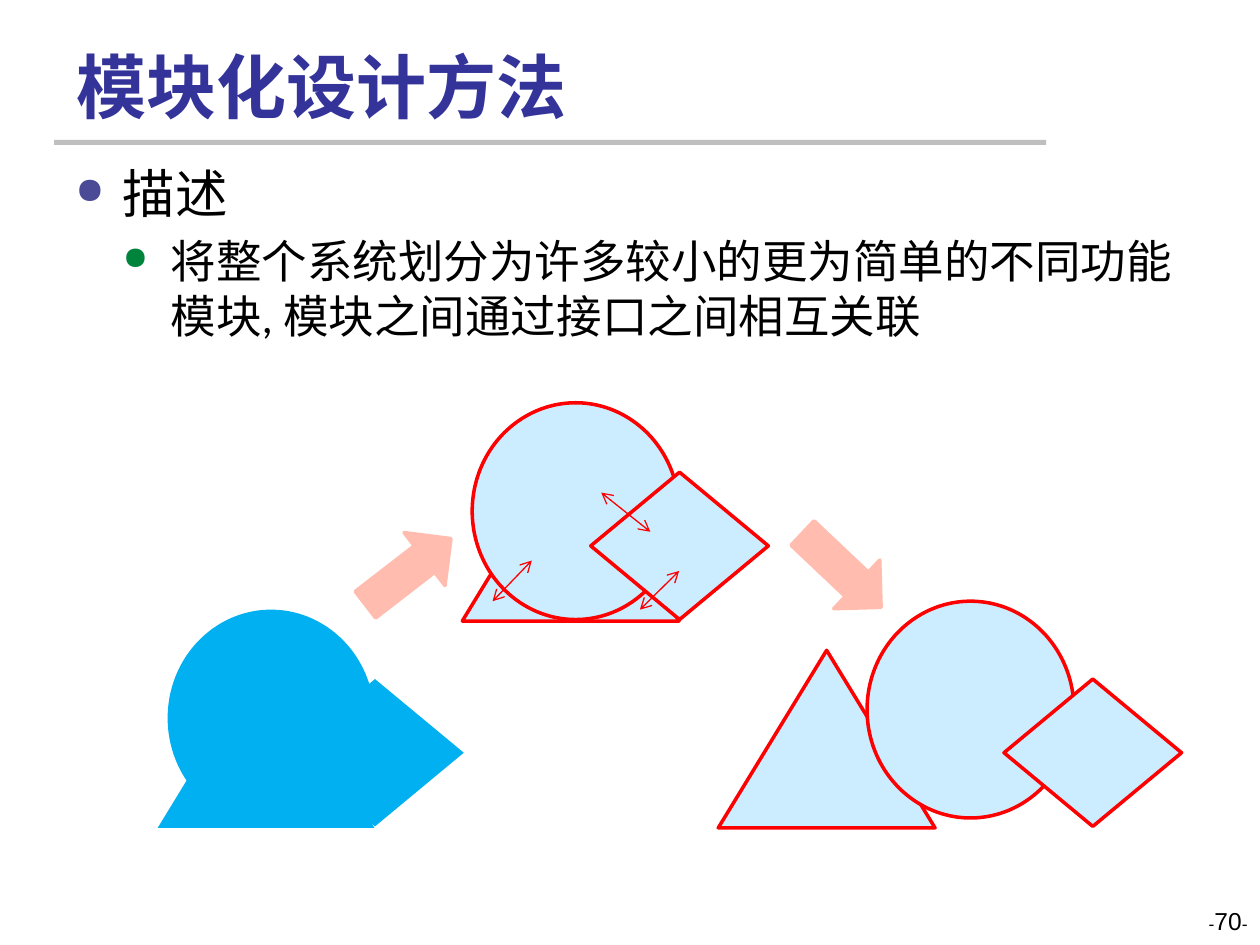
from lxml import etree
from pptx import Presentation
from pptx.dml.color import RGBColor
from pptx.enum import shapes, text
from pptx.oxml import ns
from pptx.util import Cm, Pt

NAVY = RGBColor(0x33, 0x33, 0x99)
BLACK = RGBColor(0, 0, 0)
GREY = RGBColor(0xBF, 0xBF, 0xBF)
BLUE = RGBColor(0x00, 0xB0, 0xF0)
PALE = RGBColor(0xCC, 0xEC, 0xFF)
RED = RGBColor(0xFF, 0, 0)
PINK = RGBColor(0xFF, 0xBC, 0xAF)
CJK = "Noto Sans CJK SC"

TITLE = "模块化设计方法"
BULLETS = [
    ("描述", 30, 0, "4A4A97"),
    ("将整个系统划分为许多较小的更为简单的不同功能模块, 模块之间通过接口之间相互关联", 26, 1, "00843C"),
]
PAGE = [("-", 10), ("70", 14), ("-", 10)]
INDENT = Cm(0.96)

M = shapes.MSO_SHAPE
MODULES = [
    (M.ISOSCELES_TRIANGLE, 4.37, 3.58),
    (M.OVAL, 4.17, 4.37),
    (M.FLOWCHART_DECISION, 3.58, 2.97),
]
JOINED = [(0, 0), (0.2, -0.82), (2.59, 0.58)]
SPLIT = [(0, 0), (3, -0.99), (5.76, 0.58)]
LINKS = [
    (12.12, 9.93, 13.11, 10.72),
    (9.93, 12.12, 10.72, 11.3),
    (12.9, 12.29, 13.69, 11.51),
]
STAGES = [
    (3.18, 13.11, JOINED, BLUE, None, []),
    (9.32, 8.94, JOINED, PALE, RED, LINKS),
    (14.48, 13.11, SPLIT, PALE, RED, []),
]
STEPS = [(7.14, 10.85, 322.3), (15.88, 10.82, 43.4)]


def add_shape(parent, kind, x, y, w, h, fill, line=None):
    sp = parent.add_shape(kind, Cm(x), Cm(y), Cm(w), Cm(h))
    sp.shadow.inherit = False
    sp.fill.solid()
    sp.fill.fore_color.rgb = fill
    if line is None:
        sp.line.fill.background()
    else:
        sp.line.color.rgb = line
        sp.line.width = Pt(2)
    return sp


def add_link(parent, x1, y1, x2, y2):
    cn = parent.add_connector(shapes.MSO_CONNECTOR.STRAIGHT, Cm(x1), Cm(y1), Cm(x2), Cm(y2))
    cn.line.color.rgb = RED
    cn.line.width = Pt(0.75)
    ln = cn.line._get_or_add_ln()
    for end in ("a:headEnd", "a:tailEnd"):
        etree.SubElement(ln, ns.qn(end), type="arrow")
    etree.SubElement(cn._element.spPr, ns.qn("a:effectLst"))


def add_text(x, y, w, h, anchor=text.MSO_ANCHOR.TOP):
    tf = s.shapes.add_textbox(Cm(x), Cm(y), Cm(w), Cm(h)).text_frame
    tf.word_wrap = True
    tf.vertical_anchor = anchor
    return tf


def add_run(p, content, size, font, color=BLACK, bold=False):
    r = p.add_run()
    r.text = content
    r.font.size = Pt(size)
    r.font.name = font
    r.font.bold = bold
    r.font.color.rgb = color
    etree.SubElement(r.font._element, ns.qn("a:ea"), typeface=CJK)


def add_bullet(p, level, color):
    p.level = level
    pPr = p._p.get_or_add_pPr()
    pPr.set("marL", str(INDENT * (level + 1)))
    pPr.set("indent", str(-INDENT))
    before = etree.SubElement(pPr, ns.qn("a:spcBef"))
    etree.SubElement(before, ns.qn("a:spcPct"), val="20000")
    bu_color = etree.SubElement(pPr, ns.qn("a:buClr"))
    etree.SubElement(bu_color, ns.qn("a:srgbClr"), val=color)
    etree.SubElement(pPr, ns.qn("a:buSzPct"), val="70000")
    etree.SubElement(pPr, ns.qn("a:buChar"), char="●")


prs = Presentation()
prs.slide_width, prs.slide_height = Cm(25.4), Cm(19.05)
s = prs.slides.add_slide(prs.slide_layouts[6])

add_shape(s.shapes, M.RECTANGLE, 1.09, 2.82, 20, 0.1, GREY)
title = add_text(1.3, 0.71, 20.96, 1.98, text.MSO_ANCHOR.BOTTOM)
add_run(title.paragraphs[0], TITLE, 40, CJK, NAVY, True)

body = add_text(1.27, 3.12, 23.14, 15.93)
for i, (content, size, level, color) in enumerate(BULLETS):
    p = body.add_paragraph() if i else body.paragraphs[0]
    add_bullet(p, level, color)
    add_run(p, content, size, "Calibri")

for x, y, offsets, fill, line, links in STAGES:
    group = s.shapes.add_group_shape().shapes
    for (kind, w, h), (dx, dy) in zip(MODULES, offsets):
        add_shape(group, kind, x + dx, y + dy, w, h, fill, line)
    for link in links:
        add_link(group, *link)

for x, y, angle in STEPS:
    add_shape(s.shapes, M.RIGHT_ARROW, x, y, 2.18, 1.35, PINK, PINK).rotation = angle

p = add_text(19.48, 18.14, 5.92, 1.27).paragraphs[0]
p.alignment = text.PP_ALIGN.RIGHT
for content, size in PAGE:
    add_run(p, content, size, "Arial")

prs.save("out.pptx")
